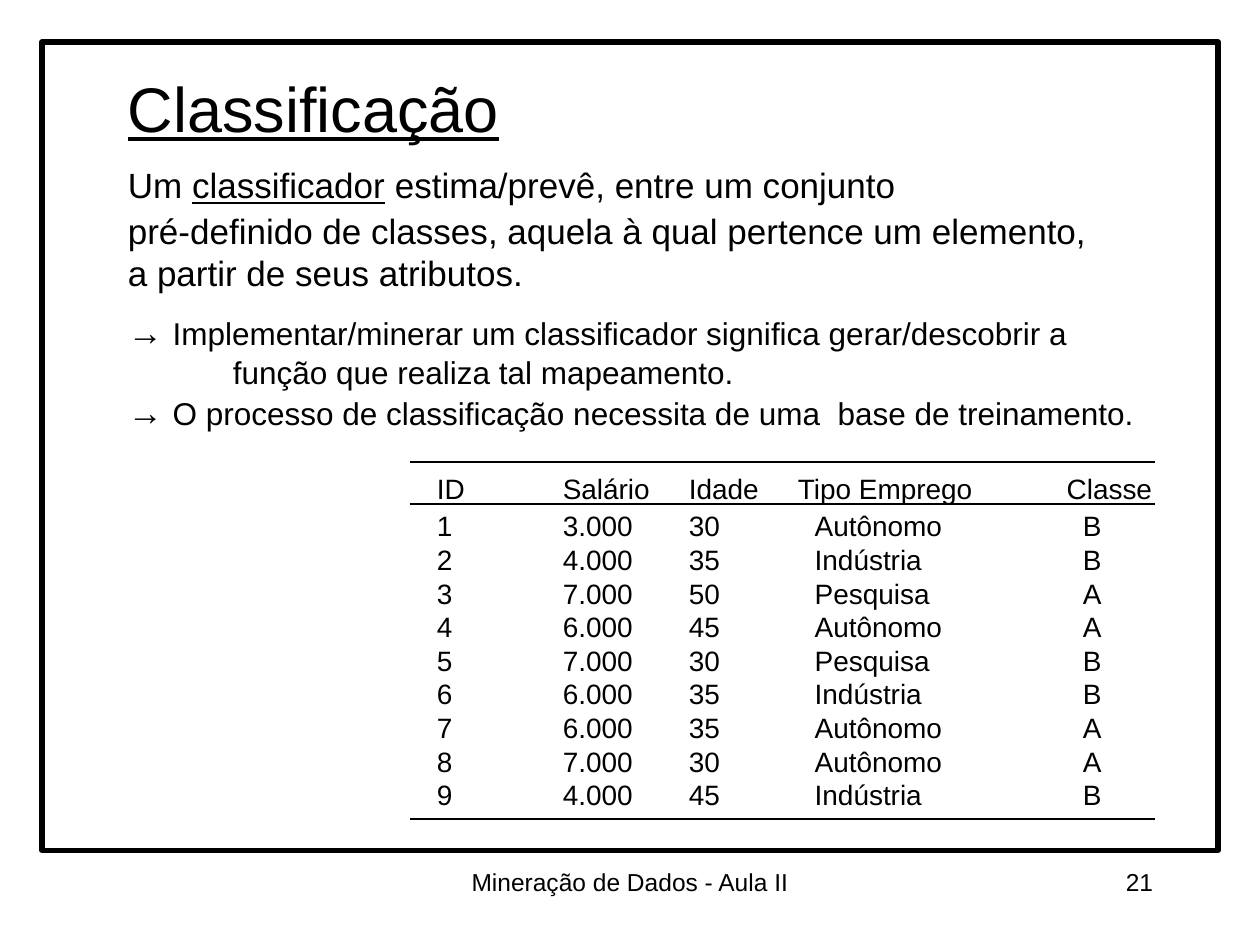
from pptx import Presentation
from pptx.dml.color import RGBColor
from pptx.enum.shapes import MSO_CONNECTOR as Connector, MSO_SHAPE as Shape
from pptx.enum.text import PP_ALIGN as Align
from pptx.oxml.ns import qn
from pptx.util import Pt
from lxml.etree import SubElement

BLACK = "000000"
FONT = "Arial"

# Content: each paragraph is (space before, left indent, runs of (text, format))
TITLE = [(0, 0, [("Classificação", {"size": Pt(36), "underline": True})])]
BIG, MEDIUM, SMALL = {"size": Pt(20)}, {"size": Pt(18)}, {"size": Pt(14)}
BODY = [
    (0, 0, [("Um ", BIG), ("classificador", {**BIG, "underline": True}),
            (" estima/prevê, entre um conjunto", BIG)]),
    (2.4, 0, [("pré-definido de classes, aquela à qual pertence um elemento,", BIG)]),
    (0, 0, [("a partir de seus atributos.", BIG)]),
    (9.6, 0, [("→ ", BIG),
              ("Implementar/minerar um classificador significa gerar/descobrir a", MEDIUM)]),
    (0, 60, [("função que realiza tal mapeamento.", MEDIUM)]),
    (0, 0, [("→ ", BIG),
            ("O processo de classificação necessita de uma  base de treinamento.", MEDIUM)]),
]
FOOTER = [(0, 0, [("Mineração de Dados - Aula II", SMALL)])]
NUMBER = [(0, 0, [("21", SMALL)])]

HEADER = ("ID", "Salário", "Idade", "Tipo Emprego", "Classe")
RECORDS = [
    ("1", "3.000", "30", "Autônomo", "B"),
    ("2", "4.000", "35", "Indústria", "B"),
    ("3", "7.000", "50", "Pesquisa", "A"),
    ("4", "6.000", "45", "Autônomo", "A"),
    ("5", "7.000", "30", "Pesquisa", "B"),
    ("6", "6.000", "35", "Indústria", "B"),
    ("7", "6.000", "35", "Autônomo", "A"),
    ("8", "7.000", "30", "Autônomo", "A"),
    ("9", "4.000", "45", "Indústria", "B"),
]
COLUMN_WIDTHS = (72, 72, 62.4, 153.6, 50.4)
DATA_INDENTS = (0, 0, 0, 9.6, 9.2)
TABLE_LEFT, TABLE_TOP = 249.6, 268.2
HEADER_HEIGHT, ROW_HEIGHT = 23.4, 19.2
RULE_LEFT, RULE_RIGHT = 234, 660
RULES = (264, 288, 468)

deck = Presentation()
deck.slide_width, deck.slide_height = Pt(720), Pt(540)
page = deck.slides.add_slide(deck.slide_layouts[6])


def color(value):
    return RGBColor.from_string(value)


def style(font, formats):
    for name, value in {"name": FONT, **formats}.items():
        setattr(font, name, value)
    font.color.rgb = color(BLACK)


def add_text(left, top, width, height, paragraphs, align=Align.LEFT):
    frame = page.shapes.add_textbox(Pt(left), Pt(top), Pt(width), Pt(height)).text_frame
    frame.word_wrap = True
    for index, (before, indent, spans) in enumerate(paragraphs):
        para = frame.add_paragraph() if index else frame.paragraphs[0]
        para.alignment = align
        if before:
            para.space_before = Pt(before)
        if indent:
            para._p.get_or_add_pPr().set("marL", str(Pt(indent)))
        for text, formats in spans:
            span = para.add_run()
            span.text = text
            style(span.font, formats)


# Page frame
border = page.shapes.add_shape(Shape.RECTANGLE, Pt(24), Pt(24), Pt(672), Pt(462))
border.shadow.inherit = False
border.fill.background()
border.line.color.rgb = color(BLACK)
border.line.width = Pt(3)

# Title and explanation
add_text(66, 36, 526, 50.4, TITLE)
add_text(66, 90, 612, 160.6, BODY)

# Training table
rows = [HEADER] + RECORDS
table = page.shapes.add_table(
    len(rows), len(HEADER), Pt(TABLE_LEFT), Pt(TABLE_TOP), Pt(sum(COLUMN_WIDTHS)),
    Pt(HEADER_HEIGHT + ROW_HEIGHT * len(RECORDS))).table
table.first_row = table.horz_banding = False
table._tbl.tblPr.find(qn("a:tableStyleId")).text = "{2D5ABB26-0587-4C30-8999-92F81FD0307C}"
for column, width in zip(table.columns, COLUMN_WIDTHS):
    column.width = Pt(width)
for r, values in enumerate(rows):
    table.rows[r].height = Pt(ROW_HEIGHT if r else HEADER_HEIGHT)
    for c, value in enumerate(values):
        cell = table.cell(r, c)
        cell.fill.background()
        cell.margin_top = cell.margin_bottom = cell.margin_right = 0
        cell.margin_left = Pt(DATA_INDENTS[c] if r else 0)
        cell.vertical_anchor = 3  # middle
        cell.text_frame.word_wrap = False
        span = cell.text_frame.paragraphs[0].add_run()
        span.text = value
        style(span.font, {"size": Pt(16)})

# Rules above, below the header and under the table
for y in RULES:
    rule = page.shapes.add_connector(
        Connector.STRAIGHT, Pt(RULE_LEFT), Pt(y), Pt(RULE_RIGHT), Pt(y))
    rule.line.color.rgb = color(BLACK)
    rule.line.width = Pt(0.75)
    SubElement(rule._element.spPr, qn("a:effectLst"))

# Footer and page number
add_text(246, 492, 228, 36, FOOTER, Align.CENTER)
add_text(516, 492, 150, 36, NUMBER, Align.RIGHT)

deck.save("out.pptx")
